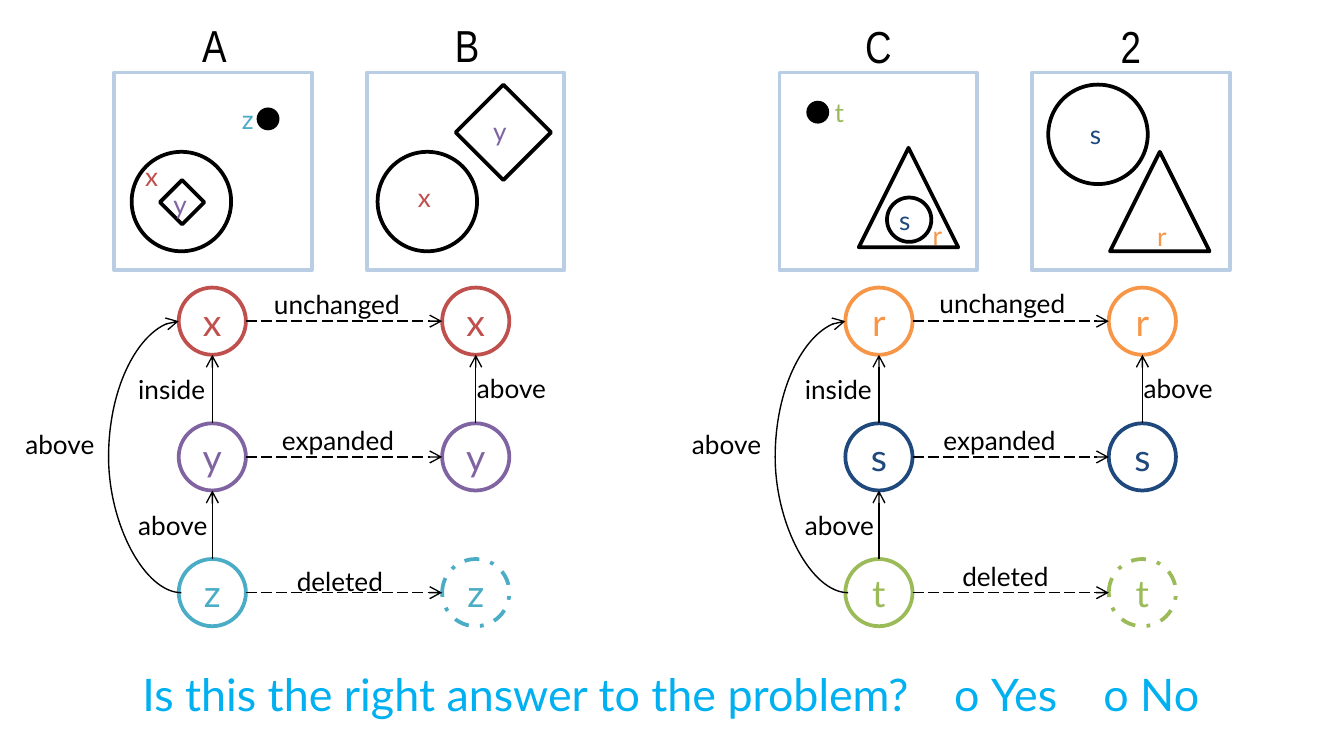
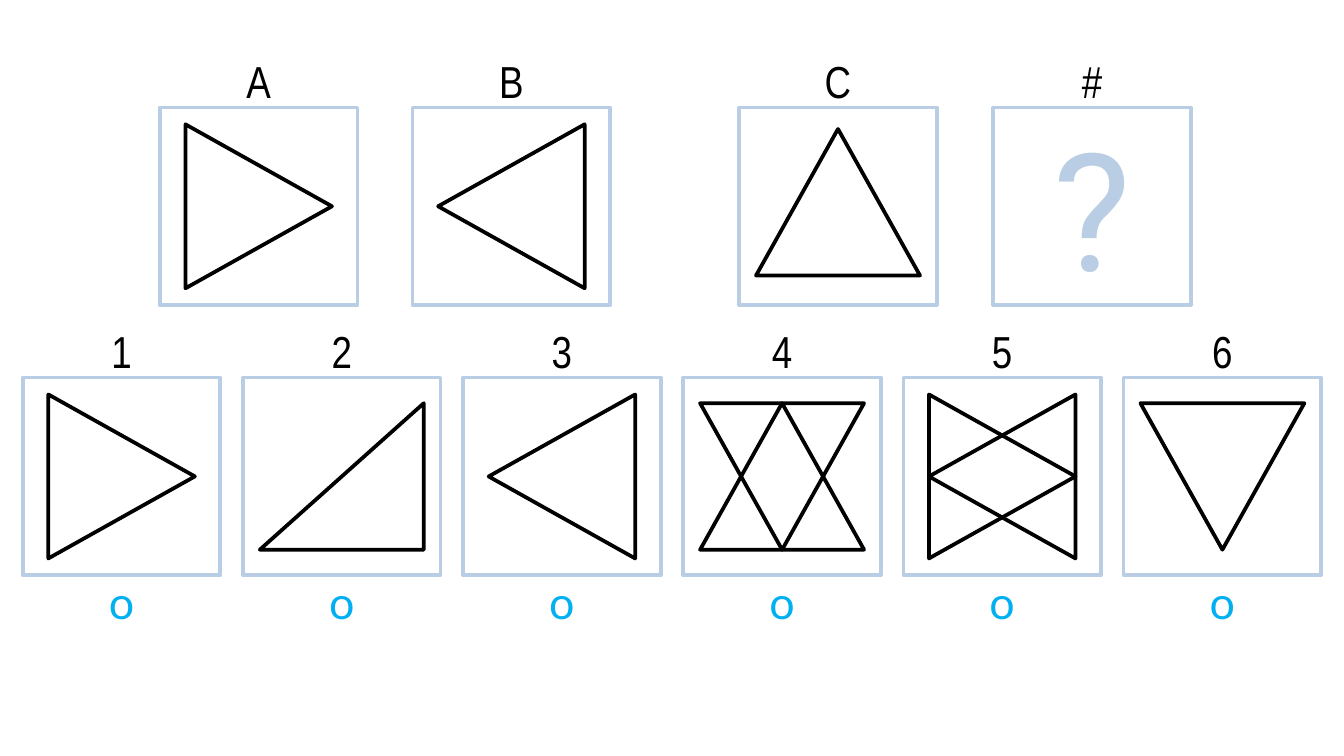
from lxml import etree
from pptx import Presentation
from pptx.dml.color import RGBColor
from pptx.enum.dml import MSO_LINE
from pptx.enum.shapes import MSO_CONNECTOR, MSO_SHAPE
from pptx.enum.text import MSO_ANCHOR, MSO_AUTO_SIZE, PP_ALIGN
from pptx.oxml.ns import qn
from pptx.util import Inches, Pt

OVAL, DIAMOND = MSO_SHAPE.OVAL, MSO_SHAPE.DIAMOND
RECT, TRIANGLE = MSO_SHAPE.RECTANGLE, MSO_SHAPE.ISOSCELES_TRIANGLE
STRAIGHT, CURVE = MSO_CONNECTOR.STRAIGHT, MSO_CONNECTOR.CURVE
LONG_DASH, DASH_DOT = MSO_LINE.LONG_DASH, MSO_LINE.DASH_DOT
TOP, MIDDLE, BOTTOM = MSO_ANCHOR.TOP, MSO_ANCHOR.MIDDLE, MSO_ANCHOR.BOTTOM
LEFT, CENTER = PP_ALIGN.LEFT, PP_ALIGN.CENTER
FIT = MSO_AUTO_SIZE.SHAPE_TO_FIT_TEXT

W = 10
H = W * 9 / 16
BLACK, WHITE, FRAME, ANSWER = "000000", "FFFFFF", "B9CDE5", "00B0F0"
RED, PURPLE, TEAL = "C0504D", "8064A2", "4BACC6"
ORANGE, NAVY, GREEN = "F79646", "1F497D", "9BBB59"
BODY, CAPTION, MARK = "Lato", "Arial Narrow", "Roboto"
PANEL, PANEL_STEP = 1.47, 1.88
NODE, NODE_LEFT, NODE_TOP = 0.5, 1.33, 2.14
NODE_COL, NODE_ROW = 1.96, 1.01
NETWORK_STEP = 4.96
TRI_W, TRI_H = 1.22, 1.09
CHOICE_LEFT, CHOICE_RIGHT, CHOICE_TOP = 0.17, 8.36, 2.81
CHOICE_STEP = (CHOICE_RIGHT - CHOICE_LEFT) / 5
QUESTION_TOP = 0.8


def rgb(value):
    """Turn a hex string into a colour."""
    return RGBColor.from_string(value)


def box(x, y, w, h):
    """Turn inches into a shape's position and size."""
    return [Inches(v) for v in (x, y, w, h)]


def set_frame(tf, pad=(0, 0), anchor=TOP, wrap=True, fit=True):
    """Set the insets, anchor and wrapping of a text frame."""
    values = {"margin_left": Inches(pad[0]), "margin_right": Inches(pad[0]),
              "margin_top": Inches(pad[1]), "margin_bottom": Inches(pad[1]),
              "vertical_anchor": anchor, "word_wrap": wrap}
    if fit:
        values["auto_size"] = FIT
    for name, value in values.items():
        setattr(tf, name, value)


def add_run(p, text, size, color, font=BODY):
    """Append a formatted run to a paragraph."""
    r = p.add_run()
    r.text = text
    for name, value in {"size": Pt(size), "name": font}.items():
        setattr(r.font, name, value)
    r.font.color.rgb = rgb(color)
    return r


def outline(r, color):
    """Give a run a heavy outline."""
    ln = etree.Element(qn("a:ln"), w=str(Pt(6)))
    fill = etree.SubElement(ln, qn("a:solidFill"))
    etree.SubElement(fill, qn("a:srgbClr"), val=color)
    r._r.get_or_add_rPr().insert(0, ln)


def add_text(s, at, text, size=14, color=BLACK, font=BODY, align=LEFT, **frame):
    """Add a one-paragraph text box and return its run."""
    tf = s.shapes.add_textbox(*box(*at)).text_frame
    set_frame(tf, **frame)
    p = tf.paragraphs[0]
    p.alignment = align
    return add_run(p, text, size, color, font)


def add_label(s, x, y, w, text, color=BLACK, padded=False):
    """Add a small unwrapped label, with or without insets."""
    pad, h = ((0.1, 0.05), 0.34) if padded else ((0, 0), 0.24)
    add_text(s, (x, y, w, h), text, color=color, pad=pad, wrap=False)


def add_figure(s, kind, at, line=BLACK, fill=WHITE, dash=None, turn=0):
    """Add a figure with a two-point outline."""
    sp = s.shapes.add_shape(kind, *box(*at))
    sp.shadow.inherit = False
    sp.rotation = turn
    if fill:
        sp.fill.solid()
        sp.fill.fore_color.rgb = rgb(fill)
    else:
        sp.fill.background()
    if line:
        sp.line.color.rgb = rgb(line)
        sp.line.width = Pt(2)
        if dash:
            sp.line.dash_style = dash
    else:
        sp.line.fill.background()
    return sp


def fill_text(sp, text, size, color, font=BODY, pad=(0, 0)):
    """Write centred text inside a figure."""
    tf = sp.text_frame
    set_frame(tf, pad=pad, anchor=MIDDLE, fit=False)
    p = tf.paragraphs[0]
    p.alignment = CENTER
    add_run(p, text, size, color, font)


def add_arrow(s, x1, y1, x2, y2, dash=None, kind=STRAIGHT):
    """Add a thin arrow from the first point to the second."""
    c = s.shapes.add_connector(kind, *box(x1, y1, x2, y2))
    c.line.color.rgb = rgb(BLACK)
    c.line.width = Pt(0.75)
    if dash:
        c.line.dash_style = dash
    sp_pr = c.element.spPr
    etree.SubElement(sp_pr.find(qn("a:ln")), qn("a:tailEnd"), type="arrow")
    etree.SubElement(sp_pr, qn("a:effectLst"))
    return c


def add_arc(s, x, top, bottom):
    """Add a curved arrow that bows left on its way up."""
    c = add_arrow(s, x, top, x + 0.02, bottom, kind=CURVE)
    sp_pr = c.element.spPr
    sp_pr.find(qn("a:xfrm")).set("rot", "10800000")
    guides = sp_pr.find(qn("a:prstGeom")).get_or_add_avLst()
    etree.SubElement(guides, qn("a:gd"), name="adj1", fmla="val 2700000")


def add_caption(s, x, y, text, color=BLACK, font=CAPTION):
    """Add a centred caption as wide as a panel."""
    return add_text(s, (x, y, PANEL, 0.4), text, 24, color, font, CENTER, anchor=BOTTOM)


def add_panel(s, x, y, name, lift=0.4, shift=0):
    """Add an empty square panel with its caption above."""
    add_caption(s, x + shift, y - lift, name)
    return add_figure(s, RECT, (x, y, PANEL, PANEL), FRAME, None)


def add_network(s, x, nodes, effects):
    """Add two columns of nodes joined by relations and effects."""
    left, right = x + NODE_LEFT, x + NODE_LEFT + NODE_COL
    half = NODE / 2
    tops = [NODE_TOP + NODE_ROW * row for row in range(3)]
    for row, (top, (name, color)) in enumerate(zip(tops, nodes)):
        for col, node_x in enumerate((left, right)):
            dash = DASH_DOT if row == 2 and col == 1 else None
            sp = add_figure(s, OVAL, (node_x, top, NODE, NODE), color, dash=dash)
            fill_text(sp, name, 20, color)
        add_arrow(s, left + NODE, top + half, right, top + half, LONG_DASH)
    for node_x, top in ((left, tops[1]), (left, tops[2]), (right, tops[1])):
        add_arrow(s, node_x + half, top, node_x + half, top - NODE_ROW + NODE)
    add_arc(s, left, tops[0] + half, tops[2] + half)
    relations = [("inside", 0.93, 2.73, 0.76), ("above", 0.93, 3.74, 0.75),
                 ("above", 0.09, 3.14, 0.75), ("above", 3.45, 2.72, 0.75)]
    for text, dx, y, w in relations:
        add_label(s, x + dx, y, w, text, padded=True)
    for text, dx, y, w, padded in effects:
        add_label(s, x + dx, y, w, text, padded=padded)


def add_question(s):
    """Add the closing question with its two tabbed answers."""
    tf = s.shapes.add_textbox(*box(0, 4.91, W, 0.5)).text_frame
    set_frame(tf, pad=(0.1, 0.05))
    tf.margin_left = Inches(1.06)
    p = tf.paragraphs[0]
    add_run(p, "Is this the right answer to the problem?\t", 24, ANSWER)
    outline(add_run(p, "ο", 24, ANSWER), ANSWER)
    add_run(p, " Yes\tο No", 24, ANSWER)
    tabs = etree.SubElement(p._p.get_or_add_pPr(), qn("a:tabLst"))
    for stop in (6.04, 7.15):
        etree.SubElement(tabs, qn("a:tab"), pos=str(Inches(stop)), algn="l")


def build_mapping(s):
    """Build the slide that maps one analogy onto another."""
    for x, names, lift, shift in ((0.85, "AB", 0.41, 0.01), (5.8, "C2", 0.4, 0)):
        for i, name in enumerate(names):
            add_panel(s, x + PANEL_STEP * i, 0.54, name, lift, shift)
    figures = [(OVAL, 0.98, 1.13, 0.74), (DIAMOND, 1.19, 1.34, 0.33),
               (OVAL, 2.81, 1.13, 0.74), (DIAMOND, 3.39, 0.63, 0.71),
               (TRIANGLE, 6.39, 1.1, 0.74), (OVAL, 6.6, 1.47, 0.33),
               (TRIANGLE, 8.26, 1.13, 0.74), (OVAL, 7.8, 0.63, 0.74)]
    for kind, x, y, size in figures:
        add_figure(s, kind, (x, y, size, size))
    for x, y in ((1.91, 0.8), (6, 0.75)):
        add_figure(s, OVAL, (x, y, 0.17, 0.17), None, BLACK)
    letters = [("x", 1.08, 1.19, RED), ("y", 1.29, 1.4, PURPLE), ("z", 1.8, 0.77, TEAL),
               ("x", 3.11, 1.35, RED), ("y", 3.67, 0.86, PURPLE),
               ("r", 6.94, 1.63, ORANGE), ("s", 6.69, 1.52, NAVY), ("t", 6.21, 0.72, GREEN),
               ("r", 8.61, 1.64, ORANGE), ("s", 8.11, 0.88, NAVY)]
    for text, x, y, color in letters:
        add_label(s, x, y, 0.1, text, color)
    add_network(s, 0, [("x", RED), ("y", PURPLE), ("z", TEAL)],
                [("unchanged", 1.94, 2.1, 1.26, True), ("expanded", 2, 3.11, 1.14, True),
                 ("deleted", 2.11, 4.16, 0.92, True)])
    add_network(s, NETWORK_STEP, [("r", ORANGE), ("s", NAVY), ("t", GREEN)],
                [("unchanged", 2.03, 2.14, 1.06, False), ("expanded", 2.06, 3.16, 0.94, False),
                 ("deleted", 2.2, 4.17, 0.71, False)])
    add_question(s)


def add_triangles(s, x, y, turns):
    """Add turned triangles centred in a panel."""
    at = (x + (PANEL - TRI_W) / 2, y + (PANEL - TRI_H) / 2, TRI_W, TRI_H)
    return [add_figure(s, TRIANGLE, at, fill=None, turn=turn) for turn in turns]


def build_puzzle(s):
    """Build the slide with an open analogy and six choices."""
    questions = [("A", 1.19, 0, [90]), ("B", 3.07, 0, [270]),
                 ("C", 5.5, 0.03, [0]), ("#", 7.39, 0, [])]
    for name, x, rise, turns in questions:
        sp = add_panel(s, x, QUESTION_TOP, name)
        add_triangles(s, x, QUESTION_TOP - rise, turns)
    fill_text(sp, "?", 88, FRAME, MARK, (0.1, 0.05))
    choices = [[90], [0], [270], [0, 180], [270, 90], [180]]
    for i, turns in enumerate(choices):
        x = CHOICE_LEFT + CHOICE_STEP * i
        add_panel(s, x, CHOICE_TOP, str(i + 1))
        triangles = add_triangles(s, x, CHOICE_TOP, turns)
        if i == 1:
            triangles[0].adjustments[0] = 1
        r = add_caption(s, x, CHOICE_TOP + PANEL, "ο", ANSWER, BODY)
    outline(r, ANSWER)


def main():
    """Build both slides and save them."""
    prs = Presentation()
    prs.slide_width, prs.slide_height = Inches(W), Inches(H)
    blank = prs.slide_layouts[6]
    for build in (build_mapping, build_puzzle):
        build(prs.slides.add_slide(blank))
    prs.save("out.pptx")


if __name__ == "__main__":
    main()
